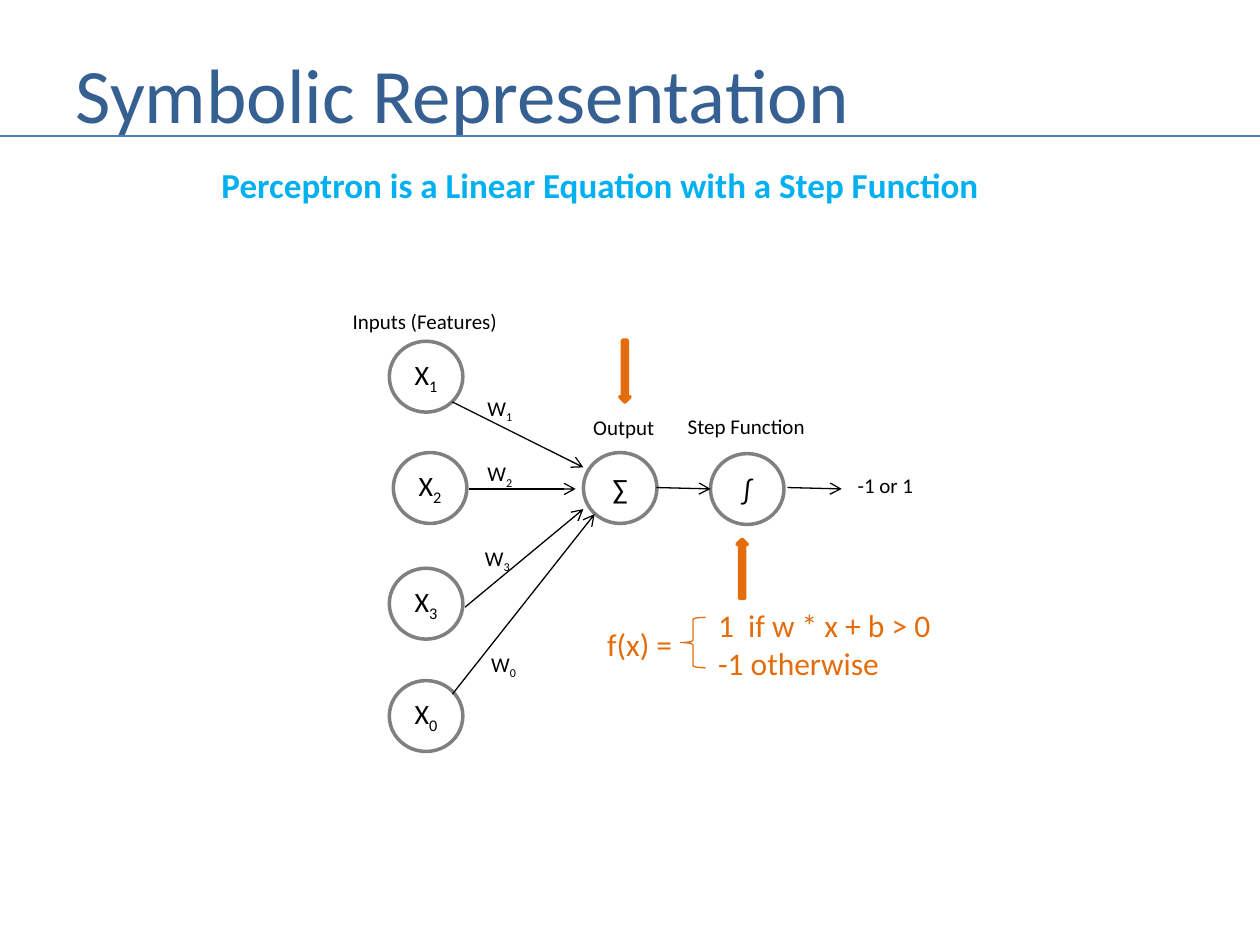
from dataclasses import dataclass

from lxml import etree
from pptx import Presentation
from pptx.dml.color import RGBColor
from pptx.enum.shapes import MSO_CONNECTOR, MSO_SHAPE
from pptx.enum.text import MSO_ANCHOR, PP_ALIGN
from pptx.oxml.ns import qn
from pptx.util import Pt

STRAIGHT = MSO_CONNECTOR.STRAIGHT
OVAL, BRACE = MSO_SHAPE.OVAL, MSO_SHAPE.LEFT_BRACE
DOWN, UP = MSO_SHAPE.DOWN_ARROW, MSO_SHAPE.UP_ARROW
LEFT, CENTER = PP_ALIGN.LEFT, PP_ALIGN.CENTER
MIDDLE = MSO_ANCHOR.MIDDLE


@dataclass(frozen=True)
class Theme:
    font: str = "Calibri"
    title: RGBColor = RGBColor(0x37, 0x60, 0x92)
    rule: RGBColor = RGBColor(0x4B, 0x7E, 0xBC)
    subtitle: RGBColor = RGBColor(0x00, 0xB0, 0xF0)
    ink: RGBColor = RGBColor(0, 0, 0)
    paper: RGBColor = RGBColor(0xFF, 0xFF, 0xFF)
    ring: RGBColor = RGBColor(0x80, 0x80, 0x80)
    accent: RGBColor = RGBColor(0xE4, 0x6C, 0x0A)
    title_size: int = 44
    subtitle_size: int = 20
    formula_size: int = 18
    node_size: int = 16
    label_size: int = 12


theme = Theme()


def write(frame, text, size, color, align=LEFT, bold=False):
    """Fill a frame line by line; whatever follows "_" becomes a subscript."""
    for index, line in enumerate(text.split("\n")):
        paragraph = frame.add_paragraph() if index else frame.paragraphs[0]
        base, _, subscript = line.partition("_")
        paragraph.add_run().text = base
        if subscript:
            lowered = paragraph.add_run()
            lowered.text = subscript
            lowered._r.get_or_add_rPr().set("baseline", "-25000")
        paragraph.alignment = align
        paragraph.font.name = theme.font
        paragraph.font.size = Pt(size)
        paragraph.font.bold = bold
        paragraph.font.color.rgb = color


def connect(shapes, start, end, color, width, arrow=True):
    line = shapes.add_connector(STRAIGHT, *map(Pt, start + end))
    line.line.color.rgb = color
    line.line.width = Pt(width)
    properties = line._element.spPr
    if arrow:
        etree.SubElement(properties.find(qn("a:ln")), qn("a:tailEnd"), type="arrow")
    etree.SubElement(properties, qn("a:effectLst"))


presentation = Presentation()
presentation.slide_width, presentation.slide_height = Pt(720), Pt(540)
slide = presentation.slides.add_slide(presentation.slide_layouts[5])
shapes = slide.shapes

title = shapes.title
title.left, title.top, title.width, title.height = Pt(36), Pt(21.6), Pt(653.8), Pt(62.6)
title.text_frame.vertical_anchor = MIDDLE
write(title.text_frame, "Symbolic Representation", theme.title_size, theme.title)
connect(shapes, (0, 77.8), (720, 77.8), theme.rule, 1.5, arrow=False)

# Neurons: inputs on the left, then the sum and the step function
NODE_WIDTH, NODE_HEIGHT = 42, 40.5
nodes = [
    ("X_1", 222.5, 195),
    ("X_2", 224.8, 258.6),
    ("X_3", 222.5, 324.7),
    ("X_0", 222.5, 388.9),
    ("∑", 333.4, 258.6),
    ("∫", 406, 259.2),
]
for symbol, left, top in nodes:
    node = shapes.add_shape(OVAL, Pt(left), Pt(top), Pt(NODE_WIDTH), Pt(NODE_HEIGHT))
    node.shadow.inherit = False
    node.fill.solid()
    node.fill.fore_color.rgb = theme.paper
    node.line.color.rgb = theme.ring
    node.line.width = Pt(2)
    frame = node.text_frame
    frame.margin_left = frame.margin_right = 0
    frame.vertical_anchor = MIDDLE
    write(frame, symbol, theme.node_size, theme.ink, CENTER)

signals = [
    ((258.5, 229.7), (333.4, 267.1)),
    ((267.8, 279.4), (329, 279.4)),
    ((265.7, 347), (333.4, 290.9)),
    ((258.5, 396.7), (339.8, 293.8)),
    ((375.1, 278.6), (406.1, 279.4)),
    ((450, 278.6), (481, 279.4)),
]
for start, end in signals:
    connect(shapes, start, end, theme.ink, 0.75)

small = (theme.label_size, theme.ink)
formula = (theme.formula_size, theme.accent)
labels = [
    ("Perceptron is a Linear Equation with a Step Function",
     119.5, 90, 450.7, 31.7, (theme.subtitle_size, theme.subtitle, LEFT, True)),
    ("Inputs (Features)", 194.4, 172.8, 97.9, 21.6, small),
    ("Output", 331.9, 233.3, 49.7, 21.6, small),
    ("Step Function", 385.9, 232.6, 82.1, 21.6, small),
    ("-1 or 1", 483, 266.4, 46.8, 21.6, small),
    ("W_1", 271.4, 222.5, 29.5, 21.6, small),
    ("W_2", 271.4, 259.9, 29.5, 21.6, small),
    ("W_3", 270, 308.2, 29.5, 21.6, small),
    ("W_0", 273.6, 368.6, 29.5, 21.6, small),
    ("f(x) =", 339.8, 353.5, 56.2, 28.8, formula),
    ("1  if w * x + b > 0\n-1 otherwise", 403.2, 342.7, 137.5, 51.1, formula),
]
for text, left, top, width, height, style in labels:
    label = shapes.add_textbox(Pt(left), Pt(top), Pt(width), Pt(height))
    label.text_frame.word_wrap = False
    write(label.text_frame, text, *style)

brace = shapes.add_shape(BRACE, Pt(388.8), Pt(352.8), Pt(14.4), Pt(28.8))
brace.shadow.inherit = False
brace.fill.background()
brace.line.color.rgb = theme.accent
brace.line.width = Pt(0.75)

for direction, left, top, height in [(DOWN, 354.2, 194.4, 35.3), (UP, 421.2, 308.2, 33.8)]:
    pointer = shapes.add_shape(direction, Pt(left), Pt(top), Pt(5.8), Pt(height))
    pointer.shadow.inherit = False
    pointer.fill.solid()
    pointer.fill.fore_color.rgb = theme.accent
    pointer.line.color.rgb = theme.accent
    pointer.line.width = Pt(2)

presentation.save("out.pptx")
